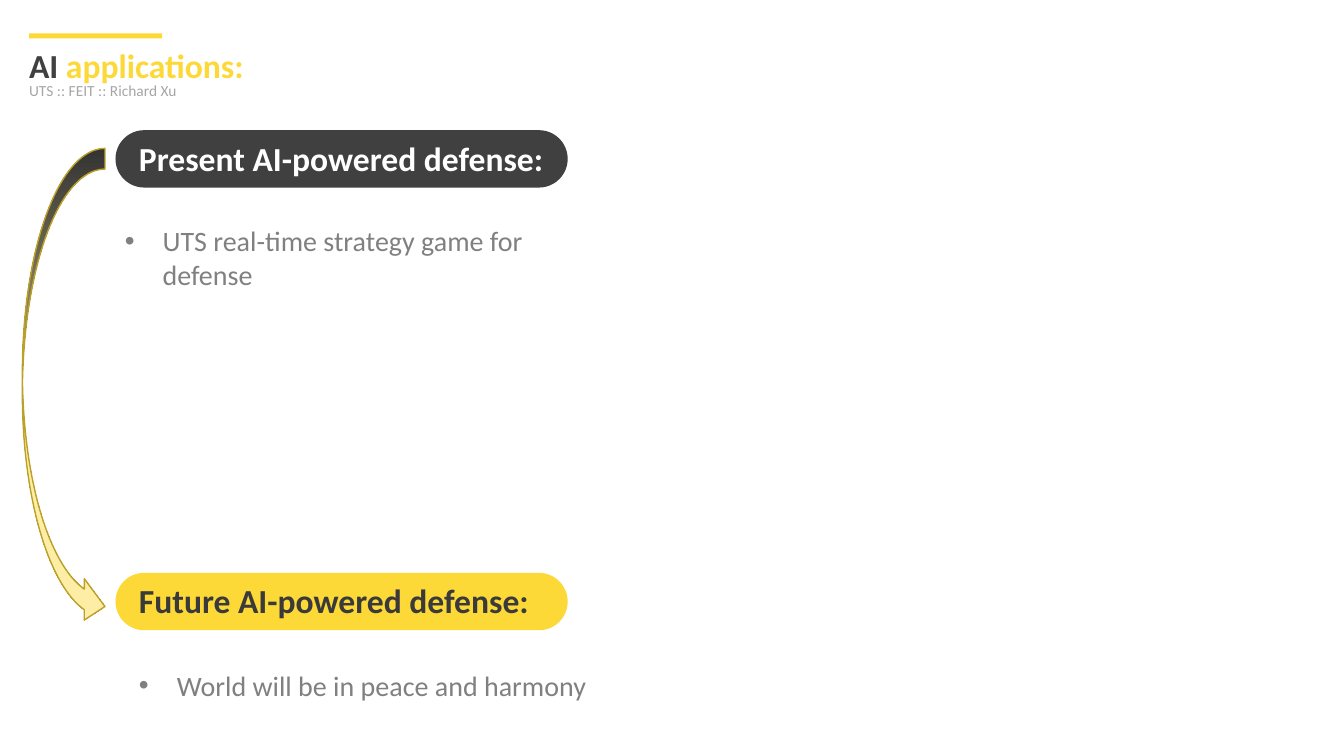
from lxml import etree
from pptx import Presentation
from pptx.dml.color import RGBColor
from pptx.enum.shapes import MSO_SHAPE
from pptx.enum.text import MSO_AUTO_SIZE
from pptx.oxml.ns import qn
from pptx.util import Pt

RECTANGLE = MSO_SHAPE.RECTANGLE
PILL = MSO_SHAPE.ROUNDED_RECTANGLE
CURVED_ARROW = MSO_SHAPE.CURVED_RIGHT_ARROW
FIT_SHAPE = MSO_AUTO_SIZE.SHAPE_TO_FIT_TEXT

YELLOW = RGBColor(0xFD, 0xD9, 0x38)
PALE_YELLOW = RGBColor(0xFE, 0xEE, 0xA5)
CREAM = RGBColor(0xFE, 0xF4, 0xC3)
OCHRE = RGBColor(0xBB, 0xA1, 0x29)
CHARCOAL = RGBColor(0x40, 0x40, 0x40)
DARK = RGBColor(0x3A, 0x3A, 0x3A)
GREY = RGBColor(0x80, 0x80, 0x80)
LIGHT_GREY = RGBColor(0xA6, 0xA6, 0xA6)
WHITE = RGBColor(0xFF, 0xFF, 0xFF)


class SlideBuilder:
    font_name = "Calibri"
    bullet_indent = Pt(27)

    def __init__(self, slide):
        self.slide = slide

    def shape(self, kind, left, top, width, height, color=None):
        shape = self.slide.shapes.add_shape(
            kind, Pt(left), Pt(top), Pt(width), Pt(height))
        shape.shadow.inherit = False
        shape.line.fill.background()
        if color is not None:
            shape.fill.solid()
            shape.fill.fore_color.rgb = color
        return shape

    def text(self, left, top, width, height, runs, size,
             bold=False, bullet=False, wrap=True):
        box = self.slide.shapes.add_textbox(
            Pt(left), Pt(top), Pt(width), Pt(height))
        frame = box.text_frame
        frame.word_wrap = wrap
        frame.auto_size = FIT_SHAPE
        paragraph = frame.paragraphs[0]
        if bullet:
            self.add_bullet(paragraph)
        for words, color in runs:
            run = paragraph.add_run()
            run.text = words
            run.font.name = self.font_name
            run.font.size = Pt(size)
            run.font.bold = bold
            run.font.color.rgb = color

    def add_bullet(self, paragraph):
        properties = paragraph._p.get_or_add_pPr()
        properties.set("marL", str(self.bullet_indent))
        properties.set("indent", str(-self.bullet_indent))
        etree.SubElement(properties, qn("a:buFont"), typeface="Arial")
        etree.SubElement(properties, qn("a:buChar"), char="•")

    def pill(self, top, words, fill, color):
        pill = self.shape(PILL, 82.5, top, 323, 41, fill)
        pill.adjustments[0] = 0.5
        self.text(92.2, top + 1.7, 313, 36, [(words, color)], 24, bold=True)

    def gradient_arrow(self, left, top, width, height, stops, outline):
        arrow = self.shape(CURVED_ARROW, left, top, width, height)
        arrow.fill.gradient()
        arrow.fill.gradient_angle = 270
        stop_list = arrow._element.spPr.find(qn("a:gradFill")).find(qn("a:gsLst"))
        for old_stop in list(stop_list):
            stop_list.remove(old_stop)
        for percent, color in stops:
            stop = etree.SubElement(
                stop_list, qn("a:gs"), pos=str(percent * 1000))
            etree.SubElement(stop, qn("a:srgbClr"), val=str(color))
        arrow.line.color.rgb = outline
        arrow.line.width = Pt(1)


def main():
    presentation = Presentation()
    presentation.slide_width = Pt(960)
    presentation.slide_height = Pt(540)
    blank_layout = presentation.slide_layouts[6]
    builder = SlideBuilder(presentation.slides.add_slide(blank_layout))

    # Title
    builder.shape(RECTANGLE, 20.9, 23.8, 95, 3.6, YELLOW)
    builder.text(13.7, 28.8, 169, 36,
                 [("AI ", CHARCOAL), ("applications:", YELLOW)],
                 24, bold=True, wrap=False)
    builder.text(13.7, 54.7, 262, 21,
                 [("UTS :: FEIT :: Richard Xu", LIGHT_GREY)], 11)

    # Present
    builder.pill(93, "Present AI-powered defense:", CHARCOAL, WHITE)
    builder.text(82.1, 156.2, 338.4, 55.4,
                 [("UTS real-time strategy game for defense", GREY)],
                 20, bullet=True)

    # Future
    builder.pill(409.2, "Future AI-powered defense:", YELLOW, DARK)
    builder.text(92.2, 473.8, 338.4, 31.7,
                 [("World will be in peace and harmony", GREY)],
                 20, bullet=True)

    # Arrow from present to future
    builder.gradient_arrow(
        16, 106, 59, 342,
        [(0, CHARCOAL), (58, PALE_YELLOW), (97, PALE_YELLOW), (100, CREAM)],
        OCHRE)

    presentation.save("out.pptx")


if __name__ == "__main__":
    main()
